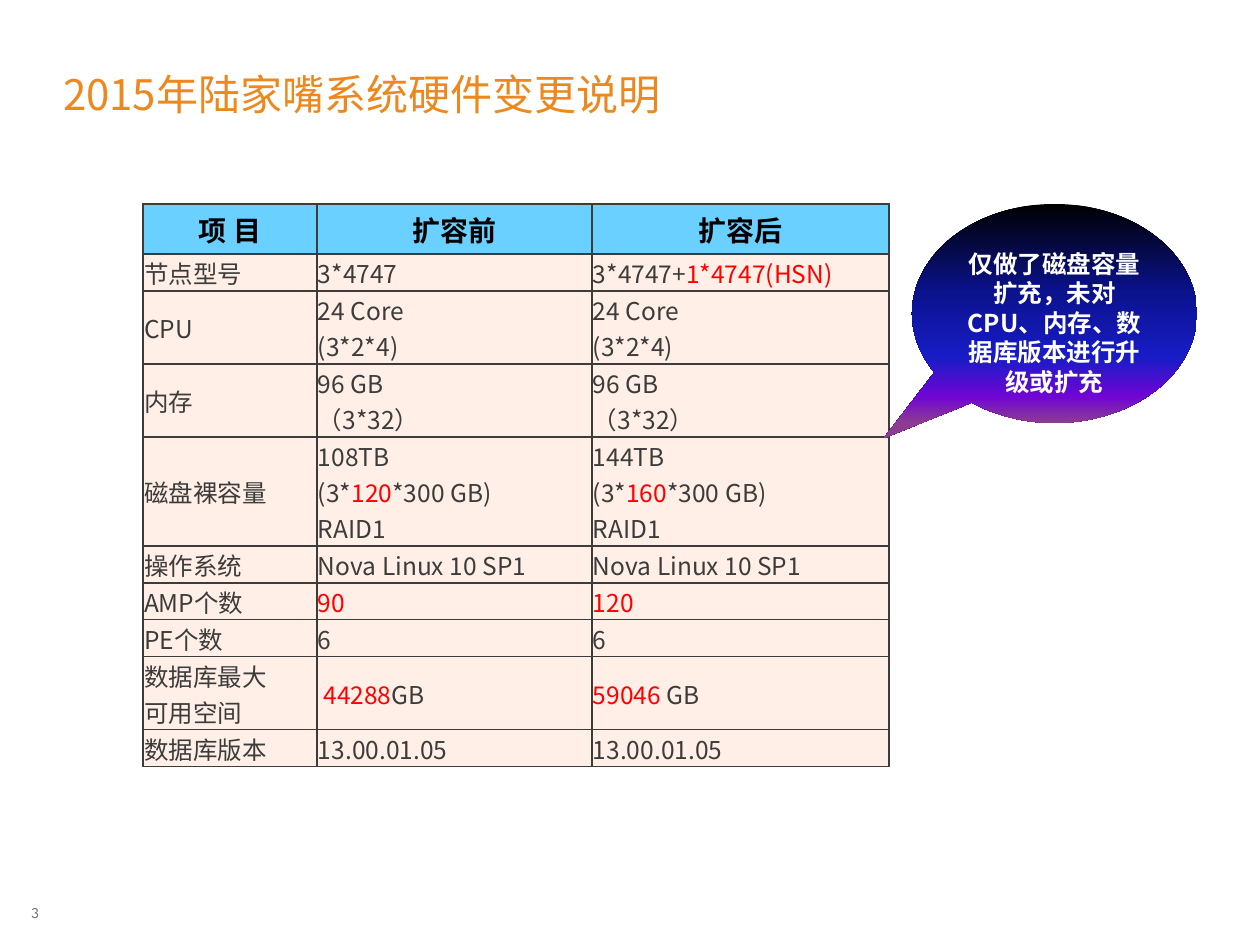
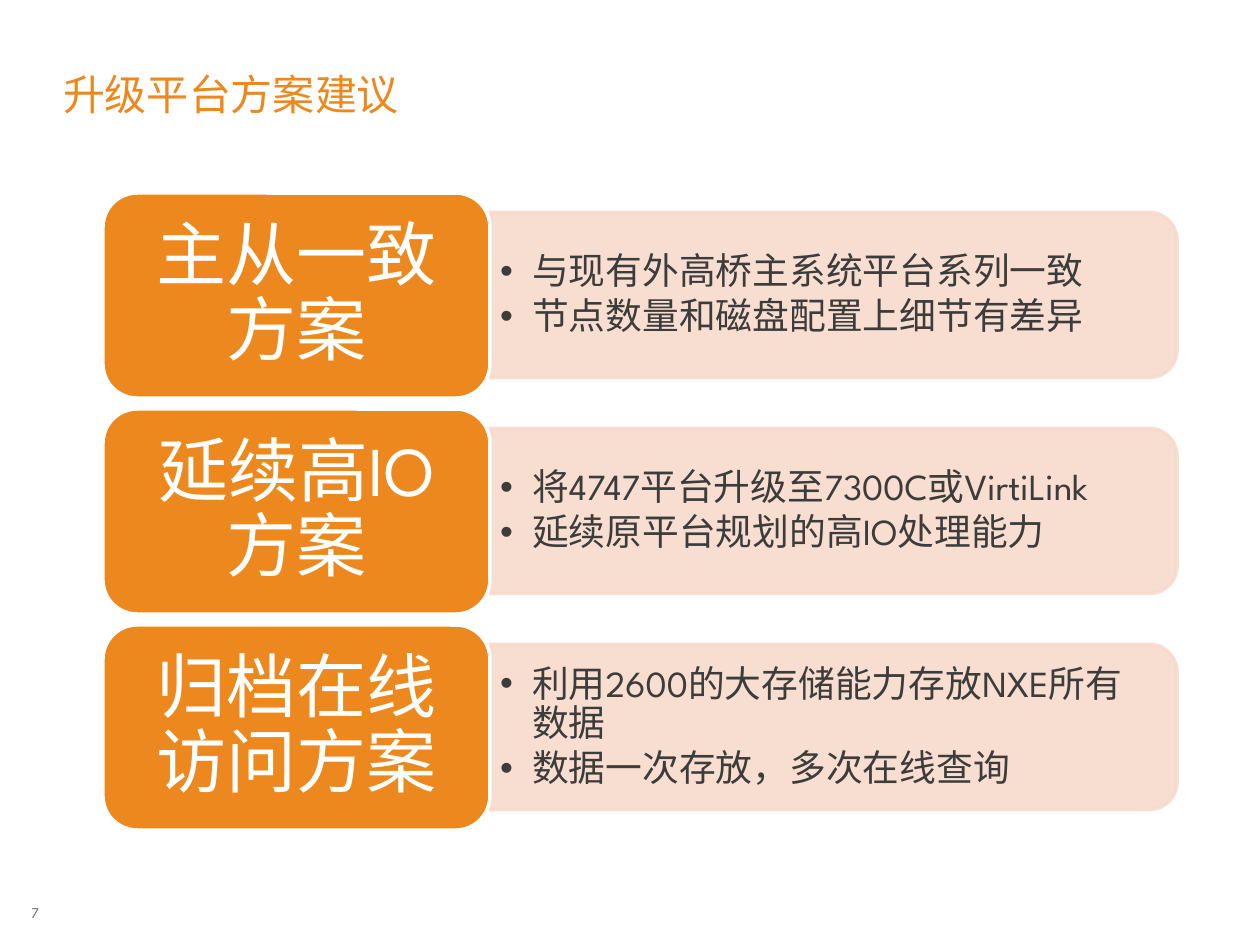
"""Build two slides: a hardware change table and three upgrade plans."""
from lxml import etree
from pptx import Presentation
from pptx import util as u
from pptx.dml.color import RGBColor
from pptx.enum import shapes, text
from pptx.oxml import parse_xml
from pptx.oxml.ns import qn, nsdecls

SANS, BRAND = "Noto Sans CJK SC", "League Spartan"
ORANGE, INK, RED, WHITE = "EC881D", "3C3C3B", "FF0000", "FFFFFF"
SKY, CREAM, PEACH, GREY, BLACK = "6AD0FF", "FFEFE7", "F8DACD", "6C6C6C", "000000"
MID, TOP, LOW = text.MSO_ANCHOR.MIDDLE, text.MSO_ANCHOR.TOP, text.MSO_ANCHOR.BOTTOM
LEFT, MIDDLE, RIGHT = text.PP_ALIGN.LEFT, text.PP_ALIGN.CENTER, text.PP_ALIGN.RIGHT

ROWS = [
    ("项 目", "扩容前", "扩容后"),
    ("节点型号", "3*4747", "3*4747+|1*4747(HSN)|"),
    ("CPU", "24 Core\n(3*2*4)", "24 Core\n(3*2*4)"),
    ("内存", "96 GB\n（3*32）", "96 GB\n（3*32）"),
    ("磁盘裸容量", "108TB\n(3*|120|*300 GB)\nRAID1", "144TB\n(3*|160|*300 GB)\nRAID1"),
    ("操作系统", "Nova Linux 10 SP1", "Nova Linux 10 SP1"),
    ("AMP个数", "|90|", "|120|"),
    ("PE个数", "6", "6"),
    ("数据库最大\n可用空间", " |44288|GB", "|59046| GB"),
    ("数据库版本", "13.00.01.05", "13.00.01.05"),
]
COLS = (174, 275, 297)
HEAD, BASE, LINE = 50, 37, 36
NOTE = "仅做了磁盘容量扩充，未对CPU、内存、数据库版本进行升级或扩充"
STOPS = [(0, BLACK), (40, "0A128C"), (70, "181CC7"), (88, "7005D4"), (100, "8C3D91")]
PLANS = [
    ("主从一致方案", "与现有外高桥主系统平台系列一致\n节点数量和磁盘配置上细节有差异"),
    ("延续高IO方案", "将4747平台升级至7300C或VirtiLink\n延续原平台规划的高IO处理能力"),
    ("归档在线访问方案", "利用2600的大存储能力存放NXE所有数据\n数据一次存放，多次在线查询"),
]


def px(num):
    """Turn pixels into EMU."""
    return u.Emu(round(num * 914400 / 126))


def rgb(code):
    """Turn a hex string into a colour."""
    return RGBColor.from_string(code)


def put(item, **vals):
    """Set each named value on an item."""
    for name, val in vals.items():
        setattr(item, name, val)


def place(shape, *box):
    """Move and size a shape in pixels."""
    put(shape, **dict(zip(("left", "top", "width", "height"), map(px, box))))


def fill(frame, words, size, tint, face=SANS, bold=False, **para):
    """Write one paragraph a line, with text between bars in red."""
    for num, line in enumerate(words.split("\n")):
        par = frame.add_paragraph() if num else frame.paragraphs[0]
        put(par, **{"alignment": LEFT, "space_before": u.Pt(0), **para})
        for odd, part in enumerate(line.split("|")):
            if part:
                run = par.add_run()
                run.text = part
                put(run.font, name=face, size=u.Pt(size), bold=bold)
                run.font.color.rgb = rgb(RED if odd % 2 else tint)
                east = etree.SubElement(run.font._element, qn("a:ea"))
                east.set("typeface", SANS)


def write(frame, *words, pads=(0, 0, 0, 0), anchor=MID, wrap=True, **look):
    """Set up a text frame and fill it."""
    sides = ("margin_left", "margin_top", "margin_right", "margin_bottom")
    put(frame, word_wrap=wrap, auto_size=text.MSO_AUTO_SIZE.NONE,
        vertical_anchor=anchor, **dict(zip(sides, map(px, pads))))
    fill(frame, *words, **look)


def start(deck, kind, title, page, face):
    """Add a slide with its title and page number."""
    slide = deck.slides.add_slide(deck.slide_layouts[kind])
    head = slide.shapes.title
    place(head, 63, 23, 1134, 97)
    write(head.text_frame, title, 24, ORANGE, face, anchor=LOW, line_spacing=0.95)
    foot = slide.shapes.add_textbox(px(20), px(904), px(19), px(18))
    write(foot.text_frame, str(page), 8.5, GREY, BRAND, anchor=TOP,
          wrap=False, alignment=RIGHT)
    return slide


def draw(slide, kind, box, tint, edge=None):
    """Add a flat preset shape."""
    shape = slide.shapes.add_shape(kind, *map(px, box))
    shape.shadow.inherit = False
    shape.fill.solid()
    shape.fill.fore_color.rgb = rgb(tint)
    if edge:
        shape.line.color.rgb = rgb(edge)
        shape.line.width = u.Pt(2)
    else:
        shape.line.fill.background()
    return shape


def rule(cell):
    """Rule all four sides of a cell."""
    for side in "LRTB":
        cell._tc.get_or_add_tcPr().append(parse_xml(
            f'<a:ln{side} {nsdecls("a")} w="12700"><a:solidFill>'
            f'<a:srgbClr val="{INK}"/></a:solidFill></a:ln{side}>'))


def grid(slide):
    """Draw the table of values before and after."""
    tall = [HEAD] + [BASE + LINE * max(c.count("\n") for c in row) for row in ROWS[1:]]
    table = slide.shapes.add_table(len(ROWS), len(COLS), px(143), px(204),
                                   px(sum(COLS)), px(sum(tall))).table
    for col, wide in zip(table.columns, COLS):
        col.width = px(wide)
    for num, row in enumerate(ROWS):
        table.rows[num].height = px(tall[num])
        look = (dict(size=14, tint=INK) if num else
                dict(size=16, tint=BLACK, bold=True, alignment=MIDDLE))
        for pos, words in enumerate(row):
            cell = table.cell(num, pos)
            rule(cell)
            cell.fill.solid()
            cell.fill.fore_color.rgb = rgb(CREAM if num else SKY)
            put(cell, vertical_anchor=MID, margin_left=px(1), margin_right=px(1),
                margin_top=px(1), margin_bottom=0)
            fill(cell.text_frame, words, **look)


def bubble(slide):
    """Draw the callout with its gradient."""
    shape = draw(slide, shapes.MSO_SHAPE.OVAL_CALLOUT, (912, 204, 285, 219), BLACK)
    shape.adjustments[0], shape.adjustments[1] = -0.6, 0.57
    stops = "".join(f'<a:gs pos="{at * 1000}"><a:srgbClr val="{tint}"/></a:gs>'
                    for at, tint in STOPS)
    props = shape._element.spPr
    props.replace(props.find(qn("a:solidFill")), parse_xml(
        f'<a:gradFill {nsdecls("a")} rotWithShape="1"><a:gsLst>{stops}</a:gsLst>'
        '<a:lin ang="5400000" scaled="0"/></a:gradFill>'))
    write(shape.text_frame, NOTE, 14, WHITE, bold=True, pads=(13,) * 4,
          anchor=TOP, alignment=MIDDLE)


def plan(slide, body, top, name, points):
    """Draw one plan: a panel, its list and its label."""
    wide, high = 687, 165
    mid = top + 102
    panel = draw(slide, shapes.MSO_SHAPE.ROUND_2_SAME_RECTANGLE,
                 (490 + (wide - high) / 2, mid - wide / 2, high, wide), PEACH, PEACH)
    panel.rotation = 90
    for tint in panel._element.spPr.iter(qn("a:srgbClr")):
        etree.SubElement(tint, qn("a:alpha")).set("val", "90000")
    place(body, 489, mid - 74, 679, 149)
    slide.shapes._spTree.append(body._element)
    write(body.text_frame, points, 21, INK, BRAND, pads=(11, 5, 11, 5),
          line_spacing=0.9, space_after=u.Pt(3))
    for par in body.text_frame.paragraphs:
        props = par._p.get_or_add_pPr()
        props.set("marL", str(px(32)))
        props.set("indent", str(-px(32)))
        etree.SubElement(props, qn("a:buFont")).set("typeface", "Arial")
        etree.SubElement(props, qn("a:buChar")).set("char", "•")
    label = draw(slide, shapes.MSO_SHAPE.ROUNDED_RECTANGLE,
                 (103, top, 387, 205), ORANGE, WHITE)
    write(label.text_frame, name, 40, WHITE, BRAND, pads=(21, 10, 21, 10),
          alignment=MIDDLE, line_spacing=0.9, space_after=u.Pt(14))


def main():
    """Build and save the deck."""
    deck = Presentation()
    put(deck, slide_width=px(1260), slide_height=px(945))
    first = start(deck, 5, "2015年陆家嘴系统硬件变更说明", 3, SANS)
    grid(first)
    bubble(first)
    second = start(deck, 4, "升级平台方案建议", 7, BRAND)
    *lists, spare = [p for p in second.placeholders if p.placeholder_format.idx]
    spare._element.getparent().remove(spare._element)
    for num, (body, (name, points)) in enumerate(zip(lists, PLANS)):
        plan(second, body, 193 + 216 * num, name, points)
    deck.save("out.pptx")


if __name__ == "__main__":
    main()
